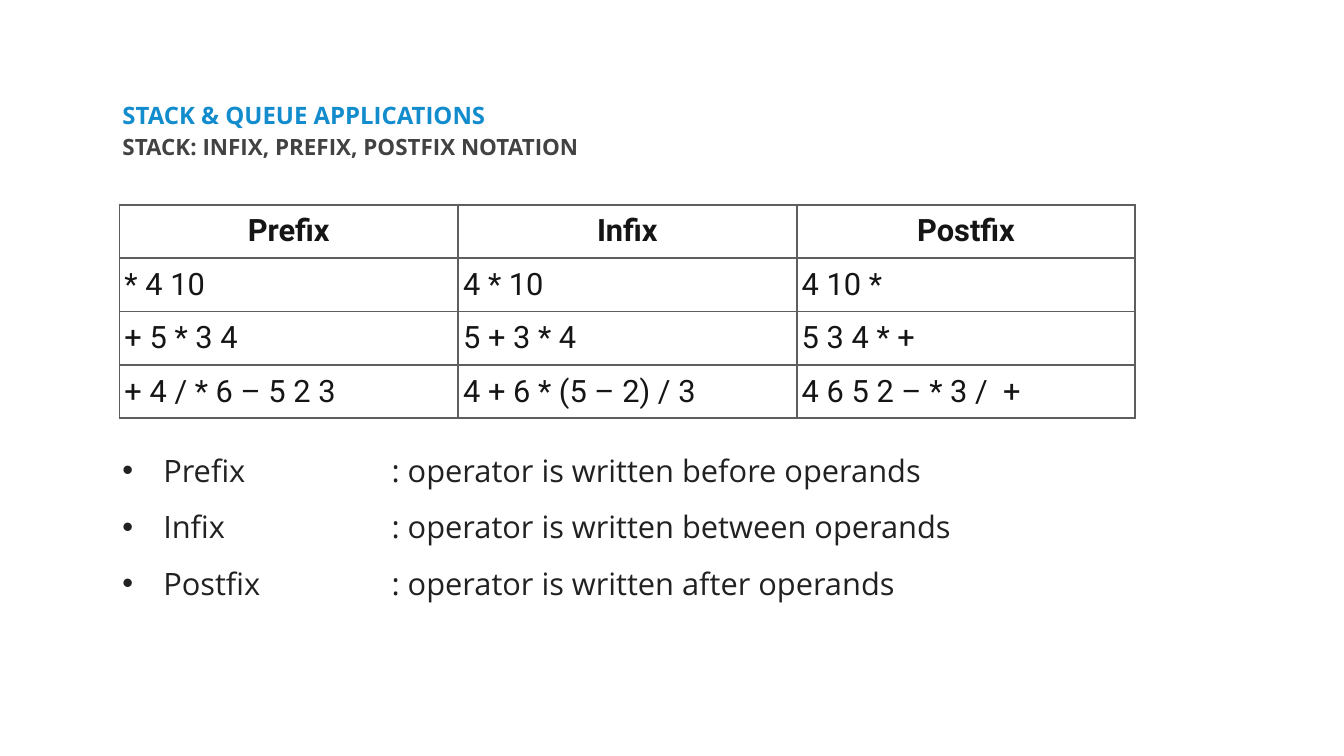
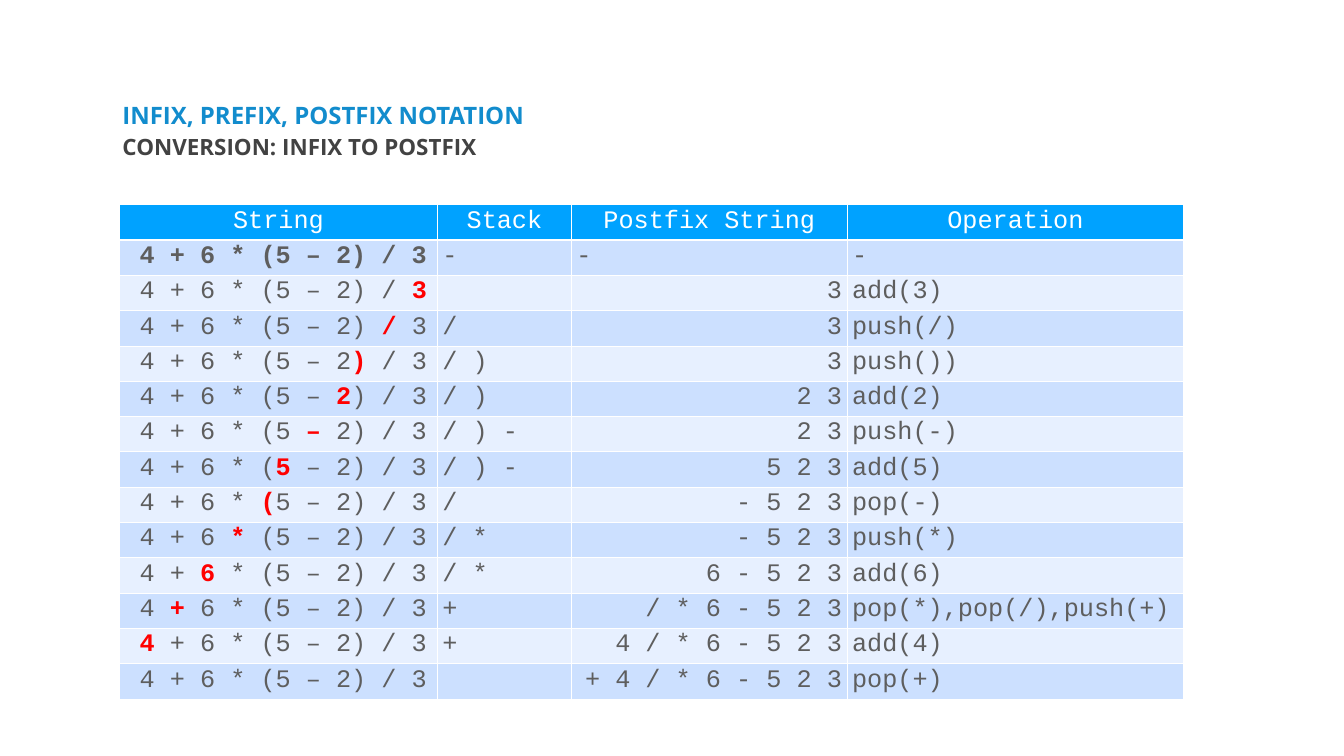
from dataclasses import dataclass

import pptx
import pptx.dml.color
import pptx.enum.text
import pptx.oxml
import pptx.oxml.ns
import pptx.util

Inches = pptx.util.Inches
Pt = pptx.util.Pt
ALIGN = pptx.enum.text.PP_ALIGN
ANCHOR = pptx.enum.text.MSO_ANCHOR

COLORS = {
    "title": "128CCD",
    "subtitle": "424242",
    "body": "212121",
    "notation": "151515",
    "grid": "5E5E5E",
    "code": "5E5E5E",
    "mark": "FF0000",
    "white": "FFFFFF",
    "header": "00A2FF",
    "odd": "CCE0FF",
    "even": "E7F0FF",
}
LEFT = 2.37
TABLE_TOP = 4.06
INSET = 0.06
EXPRESSION = " 4 + 6 * (5 – 2) / 3"


@dataclass(frozen=True)
class Style:
    font: str
    size: float
    color: str
    bold: bool = False


@dataclass(frozen=True)
class Span:
    text: str
    style: Style


@dataclass(frozen=True)
class Area:
    left: float
    top: float
    width: float
    height: float

    def lengths(self) -> list:
        return [Inches(side) for side in (self.left, self.top, self.width, self.height)]


@dataclass(frozen=True)
class Step:
    mark: str
    stack: str
    postfix: str
    operation: str


TITLE = Style("Open Sans", 34.2, "title", True)
SUBTITLE = Style("Open Sans", 32, "subtitle", True)
BODY = Style("Open Sans", 44, "body")
NOTATION = Style("Roboto", 44, "notation")
NOTATION_HEAD = Style("Roboto", 44, "notation", True)
CODE = Style("Courier New", 36, "code")
CODE_BOLD = Style("Courier New", 36, "code", True)
CODE_HEAD = Style("Courier New", 36, "white")
CODE_MARK = Style("Courier New", 36, "mark", True)

NOTATIONS = [
    ("Prefix", "Infix", "Postfix"),
    ("* 4 10", "4 * 10", "4 10 *"),
    ("+ 5 * 3 4", "5 + 3 * 4", "5 3 4 * +"),
    ("+ 4 / * 6 – 5 2 3", "4 + 6 * (5 – 2) / 3", "4 6 5 2 – * 3 /  +"),
]
DEFINITIONS = [
    "Prefix\t\t: operator is written before operands",
    "Infix\t\t: operator is written between operands",
    "Postfix\t: operator is written after operands",
]
STEP_HEADS = ("String", "Stack", "Postfix String", "Operation")
STEPS = [
    Step(EXPRESSION, "-", "-", "-"),
    Step("3", "", "3", "add(3)"),
    Step("/", "/", "3", "push(/)"),
    Step(")", "/ )", "3", "push())"),
    Step("2", "/ )", "2 3", "add(2)"),
    Step("–", "/ ) -", "2 3", "push(-)"),
    Step("5", "/ ) -", "5 2 3", "add(5)"),
    Step("(", "/", "- 5 2 3", "pop(-)"),
    Step("*", "/ *", "- 5 2 3", "push(*)"),
    Step("6", "/ *", "6 - 5 2 3", "add(6)"),
    Step("+", "+", "/ * 6 - 5 2 3", "pop(*),pop(/),push(+)"),
    Step("4", "+", "4 / * 6 - 5 2 3", "add(4)"),
    Step("", "", "+ 4 / * 6 - 5 2 3", "pop(+)"),
]


def rgb(name: str) -> pptx.dml.color.RGBColor:
    return pptx.dml.color.RGBColor.from_string(COLORS[name])


def apply(target, formats: dict) -> None:
    for name, value in formats.items():
        setattr(target, name, value)


def add_spans(para, spans: list[Span]) -> None:
    for item in spans:
        if item.text:
            span = para.add_run()
            span.text = item.text
            style = item.style
            apply(span.font, {"name": style.font, "size": Pt(style.size), "bold": style.bold})
            span.font.color.rgb = rgb(style.color)


def add_box(page, area: Area, lines: list[str], style: Style, anchor=ANCHOR.TOP,
            line_spacing: float = 1.0, space_before: float = 0, bullets: bool = False) -> None:
    frame = page.shapes.add_textbox(*area.lengths()).text_frame
    margins = {f"margin_{side}": Inches(INSET) for side in ("left", "top", "right", "bottom")}
    apply(frame, {"word_wrap": True, "vertical_anchor": anchor, **margins})
    for index, line in enumerate(lines):
        para = frame.paragraphs[0] if index == 0 else frame.add_paragraph()
        if bullets:
            add_bullet(para)
        apply(para, {"line_spacing": line_spacing, "space_before": Pt(space_before if index else 0)})
        add_spans(para, [Span(line, style)])


def add_bullet(para) -> None:
    properties = para._p.get_or_add_pPr()
    indent = Inches(0.81)
    for name, value in {"marL": indent, "indent": -indent, "defTabSz": Inches(2.67)}.items():
        properties.set(name, str(int(value)))
    namespace = pptx.oxml.ns.nsdecls("a")
    properties.append(pptx.oxml.parse_xml(f'<a:buFont {namespace} typeface="Arial"/>'))
    properties.append(pptx.oxml.parse_xml(f'<a:buChar {namespace} char="•"/>'))


def add_border(cell, side: str, color: str, width: float) -> None:
    cell._tc.get_or_add_tcPr().append(pptx.oxml.parse_xml(
        f'<a:ln{side} {pptx.oxml.ns.nsdecls("a")} w="{int(Pt(width))}"><a:solidFill>'
        f'<a:srgbClr val="{COLORS[color]}"/></a:solidFill></a:ln{side}>'))


def add_grid(page, widths: list[float], row_height: float, row_count: int):
    area = Area(LEFT, TABLE_TOP, sum(widths), row_height * row_count)
    table = page.shapes.add_table(row_count, len(widths), *area.lengths()).table
    apply(table, {"first_row": True, "horz_banding": False})
    for column, width in zip(table.columns, widths):
        column.width = Inches(width)
    for row in table.rows:
        row.height = Inches(row_height)
    return table


def fill_cell(cell, spans: list[Span], align, anchor, borders: dict, line: str, fill: str = "") -> None:
    cell.vertical_anchor = anchor
    para = cell.text_frame.paragraphs[0]
    para.alignment = align
    add_spans(para, spans)
    for side, width in borders.items():
        add_border(cell, side, line, width)
    if fill:
        cell.fill.solid()
        cell.fill.fore_color.rgb = rgb(fill)
    else:
        cell.fill.background()


def add_page(deck, title: str, subtitle: str):
    page = deck.slides.add_slide(deck.slide_layouts[6])
    page.background.fill.solid()
    page.background.fill.fore_color.rgb = rgb("white")
    add_box(page, Area(LEFT, 2.05, 16.09, 0.56), [title], TITLE, ANCHOR.MIDDLE, 0.8)
    add_box(page, Area(LEFT, 2.65, 10.68, 0.88), [subtitle], SUBTITLE, line_spacing=0.9)
    return page


def marked_expression(mark: str) -> list[Span]:
    if mark == EXPRESSION:
        return [Span(EXPRESSION, CODE_BOLD)]
    if not mark:
        return [Span(EXPRESSION, CODE)]
    before, symbol, after = EXPRESSION.partition(mark)
    return [Span(before, CODE), Span(symbol, CODE_MARK), Span(after, CODE)]


def build_notation_page(deck) -> None:
    page = add_page(deck, "STACK & QUEUE APPLICATIONS", "STACK: INFIX, PREFIX, POSTFIX NOTATION")
    add_box(page, Area(LEFT, 8.9, 21.12, 4.05), DEFINITIONS, BODY, space_before=28, bullets=True)
    table = add_grid(page, [6.72] * 3, 1.06, len(NOTATIONS))
    borders = dict.fromkeys("LRTB", 3)
    for row, texts in enumerate(NOTATIONS):
        style, align = (NOTATION, ALIGN.LEFT) if row else (NOTATION_HEAD, ALIGN.CENTER)
        for column, text in enumerate(texts):
            fill_cell(table.cell(row, column), [Span(text, style)], align,
                      ANCHOR.MIDDLE, borders, "grid")


def build_conversion_page(deck) -> None:
    page = add_page(deck, "INFIX, PREFIX, POSTFIX NOTATION", "CONVERSION: INFIX TO POSTFIX")
    table = add_grid(page, [6.31, 2.66, 5.47, 6.68], 0.64, len(STEPS) + 1)
    thin = dict.fromkeys("LRTB", 1)
    for column, head in enumerate(STEP_HEADS):
        fill_cell(table.cell(0, column), [Span(head, CODE_HEAD)], ALIGN.CENTER,
                  ANCHOR.TOP, {**thin, "B": 3}, "white", "header")
    for row, step in enumerate(STEPS, start=1):
        plain = [[Span(text, CODE)] for text in (step.stack, step.postfix, step.operation)]
        borders = {**thin, "T": 3} if row == 1 else thin
        for column, spans in enumerate([marked_expression(step.mark), *plain]):
            align = ALIGN.RIGHT if column == 2 and row > 1 else ALIGN.LEFT
            fill_cell(table.cell(row, column), spans, align, ANCHOR.TOP, borders,
                      "white", "odd" if row % 2 else "even")


def main() -> None:
    deck = pptx.Presentation()
    apply(deck, {"slide_width": Inches(26.67), "slide_height": Inches(15)})
    build_notation_page(deck)
    build_conversion_page(deck)
    deck.save("out.pptx")


if __name__ == "__main__":
    main()
